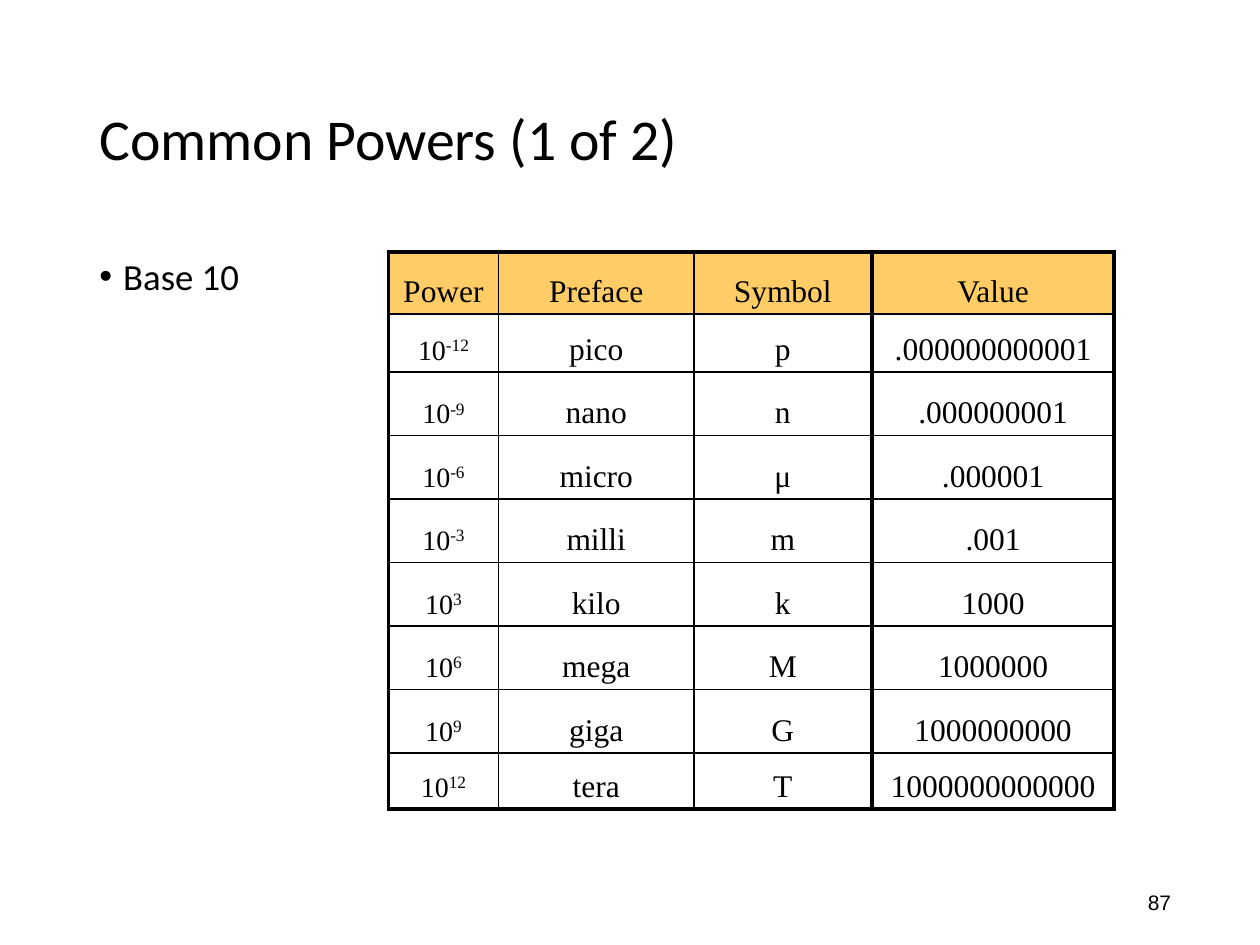
from lxml import etree
from pptx import Presentation
from pptx import util as u
from pptx.dml.color import RGBColor
from pptx.enum import text
from pptx.oxml import ns

COLORS = {"ink": "000000", "header": "FFCC66"}
THIN, THICK = 1, 2.25
ROW_HEIGHTS = [1.25, 1.17, 1.28, 1.28, 1.28, 1.28, 1.28, 1.28, 1.13]
POWERS = [
    ("-12", "pico", "p", ".000000000001"),
    ("-9", "nano", "n", ".000000001"),
    ("-6", "micro", "μ", ".000001"),
    ("-3", "milli", "m", ".001"),
    ("3", "kilo", "k", "1000"),
    ("6", "mega", "M", "1000000"),
    ("9", "giga", "G", "1000000000"),
    ("12", "tera", "T", "1000000000000"),
]


class SlideBuilder:
    styles = {
        "title": {"name": "Calibri", "size": u.Pt(33), "bold": False},
        "body": {"name": "Calibri", "size": u.Pt(21), "bold": False},
        "number": {"name": "Arial", "size": u.Pt(12), "bold": False},
        "cell": {"name": "Times New Roman", "size": u.Pt(18), "bold": False},
        "base": {"name": "Times New Roman", "size": u.Pt(16), "bold": False},
        "exponent": {"name": "Times New Roman", "size": u.Pt(17), "bold": False},
    }

    def __init__(self, page):
        self.page = page

    def apply(self, target, values):
        for name, value in values.items():
            setattr(target, name, value)

    def place(self, shape, left, top, width, height):
        sizes = {"left": left, "top": top, "width": width, "height": height}
        self.apply(shape, {name: u.Cm(value) for name, value in sizes.items()})

    def add_span(self, para, words, style):
        span = para.add_run()
        span.text = words
        self.apply(span.font, self.styles[style])
        span.font.color.rgb = RGBColor.from_string(COLORS["ink"])
        return span

    def placeholder(self, box, words, style, area, anchor):
        self.place(box, *area)
        self.apply(box.text_frame, {"auto_size": text.MSO_AUTO_SIZE.NONE,
                                    "vertical_anchor": anchor, "word_wrap": True})
        para = box.text_frame.paragraphs[0]
        self.apply(para, {"alignment": text.PP_ALIGN.LEFT, "line_spacing": 0.9,
                          "space_before": u.Pt(0)})
        self.add_span(para, words, style)
        return para

    def title(self, words, *area):
        self.placeholder(self.page.shapes.title, words, "title", area,
                         text.MSO_ANCHOR.MIDDLE)

    def bullet(self, words, *area):
        para = self.placeholder(self.page.placeholders[1], words, "body", area,
                                text.MSO_ANCHOR.TOP)
        props = para._p.get_or_add_pPr()
        indent = u.Cm(0.48)
        props.set("marL", str(indent))
        props.set("indent", str(-indent))
        etree.SubElement(props, ns.qn("a:buFont")).set("typeface", "Arial")
        etree.SubElement(props, ns.qn("a:buChar")).set("char", "•")

    def page_number(self, words, *area):
        box = self.page.shapes.add_textbox(*map(u.Cm, area))
        box.text_frame.word_wrap = False
        self.add_span(box.text_frame.paragraphs[0], words, "number")

    def borders(self, cell, widths):
        props = cell._tc.get_or_add_tcPr()
        for index, (side, width) in enumerate(widths.items()):
            line = etree.Element(ns.qn(f"a:ln{side}"), w=str(u.Pt(width)))
            fill = etree.SubElement(line, ns.qn("a:solidFill"))
            etree.SubElement(fill, ns.qn("a:srgbClr")).set("val", COLORS["ink"])
            props.insert(index, line)

    def table(self, rows, widths, left, top):
        frame = self.page.shapes.add_table(
            len(rows), len(widths), u.Cm(left), u.Cm(top),
            u.Cm(sum(widths)), u.Cm(sum(ROW_HEIGHTS)))
        grid = frame.table
        self.apply(grid, {"first_row": False, "horz_banding": False})
        for column, width in zip(grid.columns, widths):
            column.width = u.Cm(width)
        for row, height in zip(grid.rows, ROW_HEIGHTS):
            row.height = u.Cm(height)
        last_row, last_column = len(rows) - 1, len(widths) - 1
        for r, row in enumerate(rows):
            for c, content in enumerate(row):
                cell = grid.cell(r, c)
                self.cell(cell, content, header=r == 0)
                self.borders(cell, {
                    "L": THICK if c == 0 else THIN,
                    "R": THICK if c == last_column else THIN,
                    "T": THICK if r == 0 else THIN,
                    "B": THICK if r == last_row else THIN,
                })

    def cell(self, cell, content, header):
        cell.vertical_anchor = text.MSO_ANCHOR.BOTTOM
        if header:
            cell.fill.solid()
            cell.fill.fore_color.rgb = RGBColor.from_string(COLORS["header"])
        else:
            cell.fill.background()
        para = cell.text_frame.paragraphs[0]
        self.apply(para, {"alignment": text.PP_ALIGN.CENTER, "line_spacing": 0.8})
        if isinstance(content, tuple):
            base, exponent = content
            self.add_span(para, base, "base")
            span = self.add_span(para, exponent, "exponent")
            span._r.get_or_add_rPr().set("baseline", "30000")
        else:
            self.add_span(para, content, "cell")


def main():
    deck = Presentation()
    deck.slide_width, deck.slide_height = u.Cm(25.4), u.Cm(19.05)
    builder = SlideBuilder(deck.slides.add_slide(deck.slide_layouts[1]))

    builder.title("Common Powers (1 of 2)", 1.75, 1.02, 21.9, 3.68)
    builder.bullet("Base 10", 1.75, 5.08, 21.9, 12.09)
    builder.page_number("87", 22.89, 17.81, 1.02, 0.76)

    prefixes = [("Power", "Preface", "Symbol")]
    prefixes += [(("10", power), name, symbol) for power, name, symbol, _ in POWERS]
    values = [("Value",)] + [(value,) for *_, value in POWERS]
    builder.table(prefixes, [2.22, 3.94, 3.58], 7.83, 5.08)
    builder.table(values, [4.88], 17.58, 5.08)

    deck.save("out.pptx")


if __name__ == "__main__":
    main()
